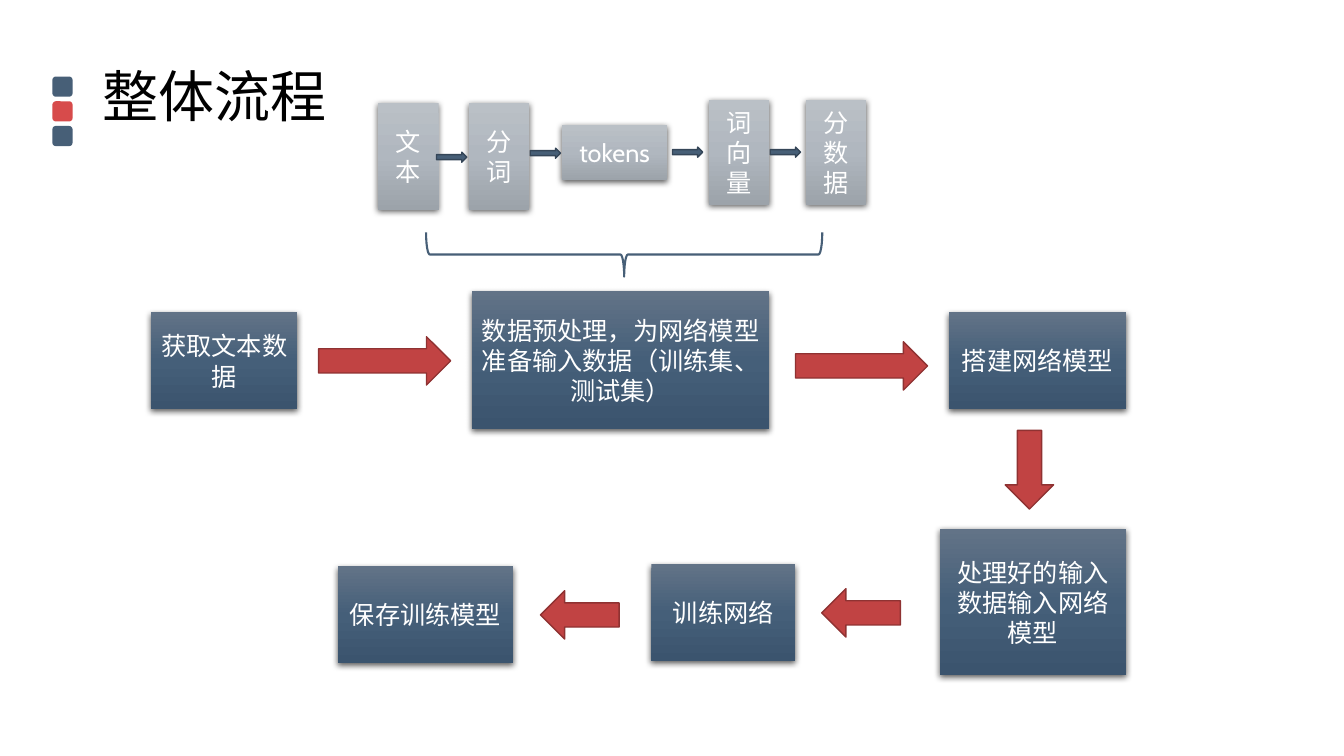
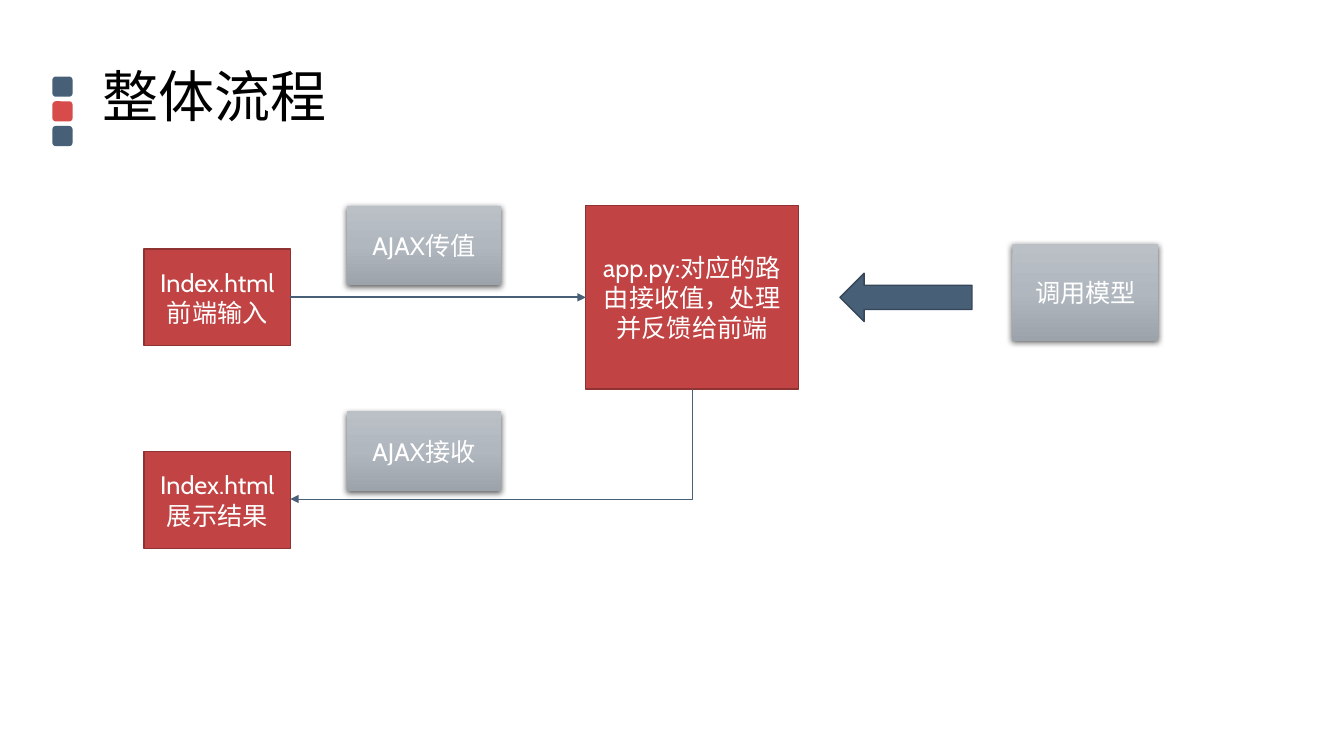
import copy

import lxml.etree
import pptx
import pptx.dml.color
import pptx.enum.shapes
import pptx.enum.text
import pptx.oxml.ns
import pptx.util

Inches = pptx.util.Inches
Pt = pptx.util.Pt
qn = pptx.oxml.ns.qn
SHAPE = pptx.enum.shapes.MSO_SHAPE
CONNECTOR = pptx.enum.shapes.MSO_CONNECTOR
ALIGN = pptx.enum.text.PP_ALIGN
MIDDLE = pptx.enum.text.MSO_ANCHOR.MIDDLE

# Shared look
FONT = "Cabin"
BLACK, WHITE = "000000", "FFFFFF"
NAVY, NAVY_EDGE = "475F77", "354658"
RED, RED_EDGE = "C14343", "8F3232"
MARKER_RED = "D74B4B"
NAVY_GRADIENT = ("627387", "455F79", "3B546E")
GRAY_GRADIENT = ("BAC0C6", "B0B7BF", "9CA3AA")


def rgb(color):
    return pptx.dml.color.RGBColor.from_string(color)


def style_text(paragraph, size, color, align):
    paragraph.alignment = align
    paragraph.font.name = FONT
    paragraph.font.size = Pt(size)
    paragraph.font.color.rgb = rgb(color)


def add_plain(slide, preset, box, fill=None, edge=None, weight=1, rotation=0):
    """Add a preset shape in box = (left, top, width, height)."""
    shape = slide.shapes.add_shape(preset, *map(Inches, box))
    shape.shadow.inherit = False
    shape.rotation = rotation
    if fill:
        shape.fill.solid()
        shape.fill.fore_color.rgb = rgb(fill)
    else:
        shape.fill.background()
    if edge:
        shape.line.color.rgb = rgb(edge)
        shape.line.width = Pt(weight)
    else:
        shape.line.fill.background()
    return shape


def add_label(shape, text):
    frame = shape.text_frame
    frame.word_wrap = True
    frame.vertical_anchor = MIDDLE
    frame.text = text
    for paragraph in frame.paragraphs:
        style_text(paragraph, 18, WHITE, ALIGN.CENTER)


def add_gradient(shape, colors):
    shape.fill.gradient()
    shape.fill.gradient_angle = 270
    stops = shape._element.spPr.find(".//" + qn("a:gsLst"))
    stops.insert(1, copy.deepcopy(stops[0]))
    for stop, color, position in zip(shape.fill.gradient_stops, colors, (0, 0.5, 1)):
        stop.color.rgb = rgb(color)
        stop.position = position


def add_shadow(shape):
    effects = shape._element.spPr.find(qn("a:effectLst"))
    shadow = lxml.etree.SubElement(
        effects, qn("a:outerShdw"), blurRad=str(Pt(4.5)), dist=str(Pt(1.5)),
        dir="5400000", algn="ctr", rotWithShape="0")
    color = lxml.etree.SubElement(shadow, qn("a:srgbClr"), val=BLACK)
    lxml.etree.SubElement(color, qn("a:alpha"), val="63000")


def add_raised(slide, text, box, colors):
    shape = add_plain(slide, SHAPE.RECTANGLE, box)
    add_gradient(shape, colors)
    add_shadow(shape)
    add_label(shape, text)
    return shape


def add_flat(slide, text, box):
    shape = add_plain(slide, SHAPE.RECTANGLE, box, RED, RED_EDGE)
    add_label(shape, text)
    return shape


def add_arrow(slide, box, fill, edge, rotation=0):
    add_plain(slide, SHAPE.RIGHT_ARROW, box, fill, edge, rotation=rotation)


def style_connector(connector, weight):
    connector.line.color.rgb = rgb(NAVY)
    connector.line.width = Pt(weight)
    lxml.etree.SubElement(connector.line._get_or_add_ln(), qn("a:tailEnd"), type="triangle")
    lxml.etree.SubElement(connector._element.spPr, qn("a:effectLst"))


def add_titled_slide(deck, title):
    slide = deck.slides.add_slide(deck.slide_layouts[5])
    # Three square markers beside the title
    for row, color in enumerate((NAVY, MARKER_RED, NAVY)):
        add_plain(slide, SHAPE.ROUNDED_RECTANGLE,
                  (0.52, 0.76 + row * 0.245, 0.2, 0.2), color)
    heading = slide.shapes.title
    heading.left, heading.top, heading.width, heading.height = map(
        Inches, (0.92, 0.4, 11.5, 1.18))
    heading.text_frame.text = title
    heading.text_frame.vertical_anchor = MIDDLE
    paragraph = heading.text_frame.paragraphs[0]
    paragraph.line_spacing = 0.9
    style_text(paragraph, 40, BLACK, ALIGN.LEFT)
    return slide


def draw_preprocessing(slide, left, top):
    """Small gray steps, joined by arrows and gathered by a brace."""
    steps = (
        ("文本", 0, 0.03, 0.6, 1.06),
        ("分词", 0.9, 0.03, 0.6, 1.06),
        ("tokens", 1.82, 0.25, 1.05, 0.55),
        ("词向量", 3.28, 0, 0.6, 1.04),
        ("分数据", 4.24, 0, 0.6, 1.04),
    )
    for text, x, y, width, height in steps:
        add_raised(slide, text, (left + x, top + y, width, height), GRAY_GRADIENT)
    for x, y in ((0.58, 0.52), (1.51, 0.48), (2.92, 0.47), (3.89, 0.47)):
        add_arrow(slide, (left + x, top + y, 0.3, 0.1), NAVY, NAVY_EDGE)
    add_plain(slide, SHAPE.RIGHT_BRACE, (left + 2.22, top - 0.43, 0.44, 3.93),
              edge=NAVY, weight=1.5, rotation=90)


def draw_training_flow(slide, left, top):
    """Main steps: to the right, down, then back to the left."""
    steps = (
        ("获取文本数据", 0, 0.21, 1.45, 0.96),
        ("数据预处理，为网络模型准备输入数据（训练集、测试集）", 3.18, 0, 2.95, 1.37),
        ("搭建网络模型", 7.91, 0.21, 1.76, 0.96),
        ("处理好的输入数据输入网络模型", 7.82, 2.36, 1.85, 1.45),
        ("训练网络", 4.96, 2.71, 1.43, 0.96),
        ("保存训练模型", 1.85, 2.73, 1.74, 0.96),
    )
    for text, x, y, width, height in steps:
        add_raised(slide, text, (left + x, top + y, width, height), NAVY_GRADIENT)
    arrows = (
        (1.66, 0.45, 1.31, 0),
        (6.39, 0.5, 1.31, 0),
        (8.32, 1.53, 0.78, 90),
        (6.65, 2.95, 0.78, 180),
        (3.86, 2.97, 0.78, 180),
    )
    for x, y, length, rotation in arrows:
        add_arrow(slide, (left + x, top + y, length, 0.48), RED, RED_EDGE, rotation)


def draw_request_loop(slide, left, top):
    """Front end sends to app.py and receives the result."""
    page_input = add_flat(slide, "Index.html前端输入", (left, top + 0.43, 1.45, 0.96))
    add_flat(slide, "Index.html\n展示结果", (left, top + 2.44, 1.45, 0.96))
    app = add_flat(slide, "app.py:对应的路由接收值，处理并反馈给前端",
                   (left + 4.38, top, 2.11, 1.82))

    send = slide.shapes.add_connector(CONNECTOR.STRAIGHT, 0, 0, 0, 0)
    send.begin_connect(page_input, 3)
    send.end_connect(app, 1)
    style_connector(send, 1.5)

    # One-corner connector: a quarter turn makes it run down, then left
    drop, run = 1.09, 3.99
    x = left + 1.45 + (run - drop) / 2
    y = top + 1.82 - (run - drop) / 2
    receive = slide.shapes.add_connector(
        CONNECTOR.ELBOW, *map(Inches, (x, y, x + drop, y + run)))
    receive._element.spPr.find(qn("a:prstGeom")).set("prst", "bentConnector2")
    receive._element.spPr.find(qn("a:xfrm")).set("rot", "5400000")
    style_connector(receive, 0.5)

    for text, y in (("AJAX传值", 0), ("AJAX接收", 2.04)):
        add_raised(slide, text, (left + 2.01, top + y, 1.53, 0.79), GRAY_GRADIENT)


def draw_model_call(slide, left, top):
    add_arrow(slide, (left, top + 0.29, 1.31, 0.48), NAVY, NAVY_EDGE, 180)
    add_raised(slide, "调用模型", (left + 1.71, top, 1.45, 0.96), GRAY_GRADIENT)


def main():
    deck = pptx.Presentation()
    deck.slide_width, deck.slide_height = Inches(13.33), Inches(7.5)

    training = add_titled_slide(deck, "整体流程")
    draw_training_flow(training, 1.5, 2.89)
    draw_preprocessing(training, 3.75, 0.99)

    serving = add_titled_slide(deck, "整体流程")
    draw_request_loop(serving, 1.43, 2.04)
    draw_model_call(serving, 8.33, 2.42)

    deck.save("out.pptx")


if __name__ == "__main__":
    main()
